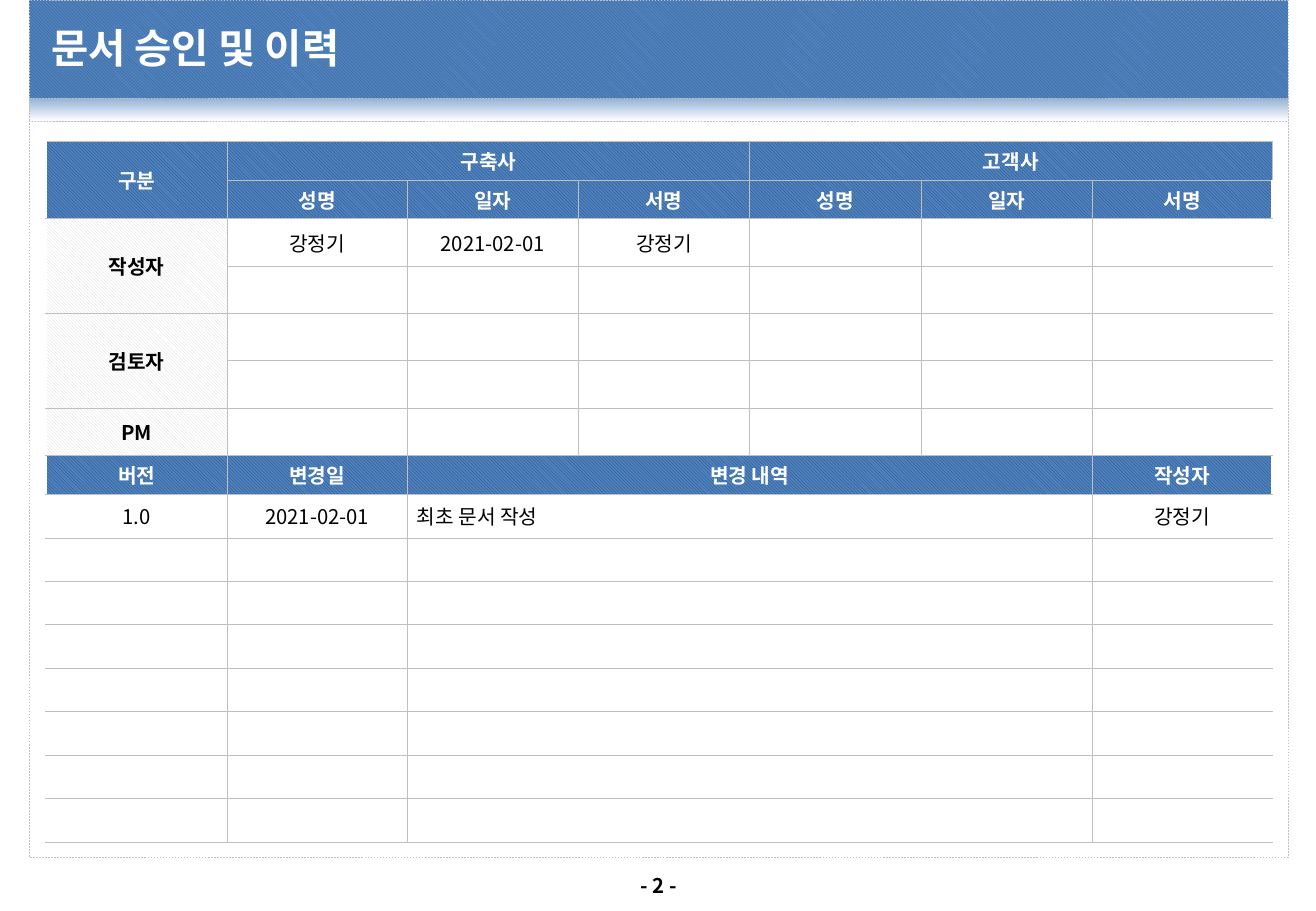
from lxml.etree import SubElement
from pptx import Presentation
from pptx.dml.color import RGBColor
from pptx.enum.dml import MSO_LINE, MSO_PATTERN
from pptx.enum.shapes import MSO_SHAPE
from pptx.enum.text import MSO_ANCHOR, PP_ALIGN
from pptx.oxml import parse_xml
from pptx.oxml.ns import nsdecls, qn
from pptx.util import Inches, Pt

FONT = "Noto Sans CJK KR"
COLORS = {
    "white": "FFFFFF", "black": "000000", "border": "BFBFBF", "blue": "4F81BD",
    "navy": "1F497D", "steel": "376092", "sky": "95B3D7", "gray": "D9D9D9",
}
HEADER = {"fill": ("navy", "blue"), "color": "white", "bold": True}
LABEL = {"fill": ("gray", "white"), "color": "black", "bold": True}
BODY = {"fill": ("white",), "color": "black", "bold": False}


def rgb(name):
    return RGBColor.from_string(COLORS[name])


def set_attributes(target, values):
    for name, value in values.items():
        setattr(target, name, value)


def set_fill(fill, colors):
    if len(colors) == 1:
        fill.solid()
        fill.fore_color.rgb = rgb(colors[0])
        return
    fill.patterned()
    fill.pattern = MSO_PATTERN.LIGHT_DOWNWARD_DIAGONAL
    fill.fore_color.rgb, fill.back_color.rgb = map(rgb, colors)


def write_text(paragraph, text, size, color, bold, align=PP_ALIGN.CENTER):
    paragraph.alignment = align
    if not text:
        SubElement(paragraph._p, qn("a:endParaRPr"), sz=str(size * 100))
        return
    run = paragraph.add_run()
    run.text = text
    set_attributes(run.font, {"size": Pt(size), "bold": bold, "name": FONT})
    run.font.color.rgb = rgb(color)
    SubElement(run.font._element, qn("a:ea"), typeface=FONT)


def add_panel(slide, box):
    shape = slide.shapes.add_shape(MSO_SHAPE.RECTANGLE, *map(Inches, box))
    shape.shadow.inherit = False
    set_attributes(shape.line, {"width": Pt(0.25), "dash_style": MSO_LINE.DASH})
    shape.line.color.rgb = rgb("border")
    return shape


def add_text(slide, box, text, size, color, align, margin, wrap):
    frame = slide.shapes.add_textbox(*map(Inches, box)).text_frame
    set_attributes(frame, {"word_wrap": wrap, "vertical_anchor": MSO_ANCHOR.MIDDLE})
    set_attributes(frame, {f"margin_{side}": Inches(margin)
                           for side in ("left", "right", "top", "bottom")})
    write_text(frame.paragraphs[0], text, size, color, True, align)


def add_page_frame(slide, box):
    left, top, width, height = box
    banner_height, fade_height = 0.81, 0.19
    body_top = top + banner_height + fade_height

    fade = add_panel(slide, (left, top + banner_height, width, fade_height))
    fade.fill.gradient()
    fade.fill.gradient_angle = 270
    for stop, color, position in zip(fade.fill.gradient_stops, ("sky", "white"), (0, 1)):
        stop.color.rgb = rgb(color)
        stop.position = position

    body = add_panel(slide, (left, body_top, width, top + height - body_top))
    set_fill(body.fill, ("white",))
    banner = add_panel(slide, (left, top, width, banner_height))
    set_fill(banner.fill, ("steel", "blue"))

    add_text(slide, (left + 0.14, top + 0.06, width - 0.27, 0.66), "문서 승인 및 이력",
             24, "white", PP_ALIGN.LEFT, 0.04, True)
    add_text(slide, (left + width / 2 - 0.34, top + height + 0.08, 0.68, 0.3), "- 2 -",
             12, "black", PP_ALIGN.CENTER, 0.05, False)


def add_borders(cell, sides):
    properties = cell._tc.get_or_add_tcPr()
    for index, side in enumerate(sides):
        properties.insert(index, parse_xml(
            f'<a:ln{side} {nsdecls("a")} w="3175"><a:solidFill>'
            f'<a:srgbClr val="{COLORS["border"]}"/></a:solidFill></a:ln{side}>'))


def add_grid(slide, box, widths, heights, texts, style_of, left_aligned=()):
    table = slide.shapes.add_table(len(heights), len(widths), *map(Inches, box)).table
    set_attributes(table, {"first_row": False, "horz_banding": False})
    for column, width in zip(table.columns, widths):
        column.width = Inches(width)
    last = len(widths) - 1
    for row_index, height in enumerate(heights):
        table.rows[row_index].height = Inches(height)
        for column_index in range(len(widths)):
            position = (row_index, column_index)
            cell = table.cell(*position)
            style = style_of(*position)
            set_attributes(cell, {
                "vertical_anchor": MSO_ANCHOR.MIDDLE,
                "margin_left": Inches(0.08), "margin_right": Inches(0.08),
                "margin_top": Inches(0.04), "margin_bottom": Inches(0.04),
            })
            set_fill(cell.fill, style["fill"])
            sides = [side for side, shown in (("L", column_index > 0), ("R", column_index < last),
                                              ("T", True), ("B", True)) if shown]
            add_borders(cell, sides)
            align = PP_ALIGN.LEFT if position in left_aligned else PP_ALIGN.CENTER
            write_text(cell.text_frame.paragraphs[0], texts.get(position, ""), 12,
                       style["color"], style["bold"], align)
    return table


def add_approval_table(slide, box):
    header_height, header_rows, body_rows = 0.32, 2, 5
    body_height = (box[3] - header_rows * header_height) / body_rows
    texts = {(0, 0): "구분", (0, 1): "구축사", (0, 4): "고객사",
             (2, 0): "작성자", (4, 0): "검토자", (6, 0): "PM"}
    texts.update({(1, column): text
                  for column, text in enumerate(("성명", "일자", "서명") * 2, 1)})
    texts.update({(2, column): text
                  for column, text in enumerate(("강정기", "2021-02-01", "강정기"), 1)})

    def style_of(row, column):
        if row < header_rows:
            return HEADER
        return LABEL if column == 0 else BODY

    table = add_grid(slide, box, [1.49, 1.48] + [1.41] * 4 + [1.48],
                     [header_height] * header_rows + [body_height] * body_rows,
                     texts, style_of)
    for row in (0, 2, 4):
        table.cell(row, 0).merge(table.cell(row + 1, 0))
    for column in (1, 4):
        table.cell(0, column).merge(table.cell(0, column + 2))


def add_history_table(slide, box):
    header_height, body_rows = 0.32, 8
    body_height = (box[3] - header_height) / body_rows
    rows = (("버전", "변경일", "변경 내역", "작성자"),
            ("1.0", "2021-02-01", "최초 문서 작성", "강정기"))
    texts = {(row, column): text for row, line in enumerate(rows)
             for column, text in enumerate(line)}
    add_grid(slide, box, [1.49, 1.48, 5.64, 1.48],
             [header_height] + [body_height] * body_rows, texts,
             lambda row, column: BODY if row else HEADER, {(1, 2)})


presentation = Presentation()
set_attributes(presentation, {"slide_width": Inches(10.83), "slide_height": Inches(7.5)})
slide = presentation.slides.add_slide(presentation.slide_layouts[6])
add_page_frame(slide, (0.24, 0, 10.36, 7.06))
add_history_table(slide, (0.38, 3.75, 10.09, 3.18))
add_approval_table(slide, (0.38, 1.16, 10.09, 2.59))
presentation.save("out.pptx")
